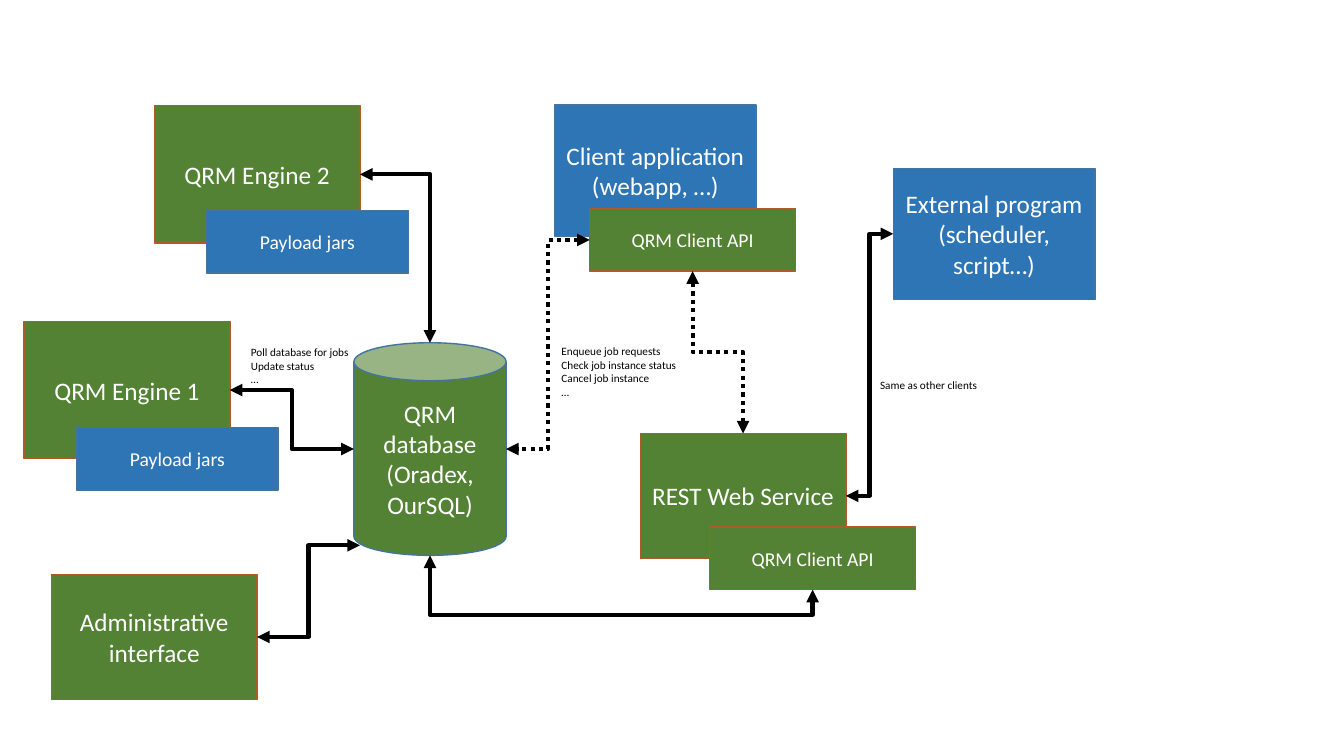
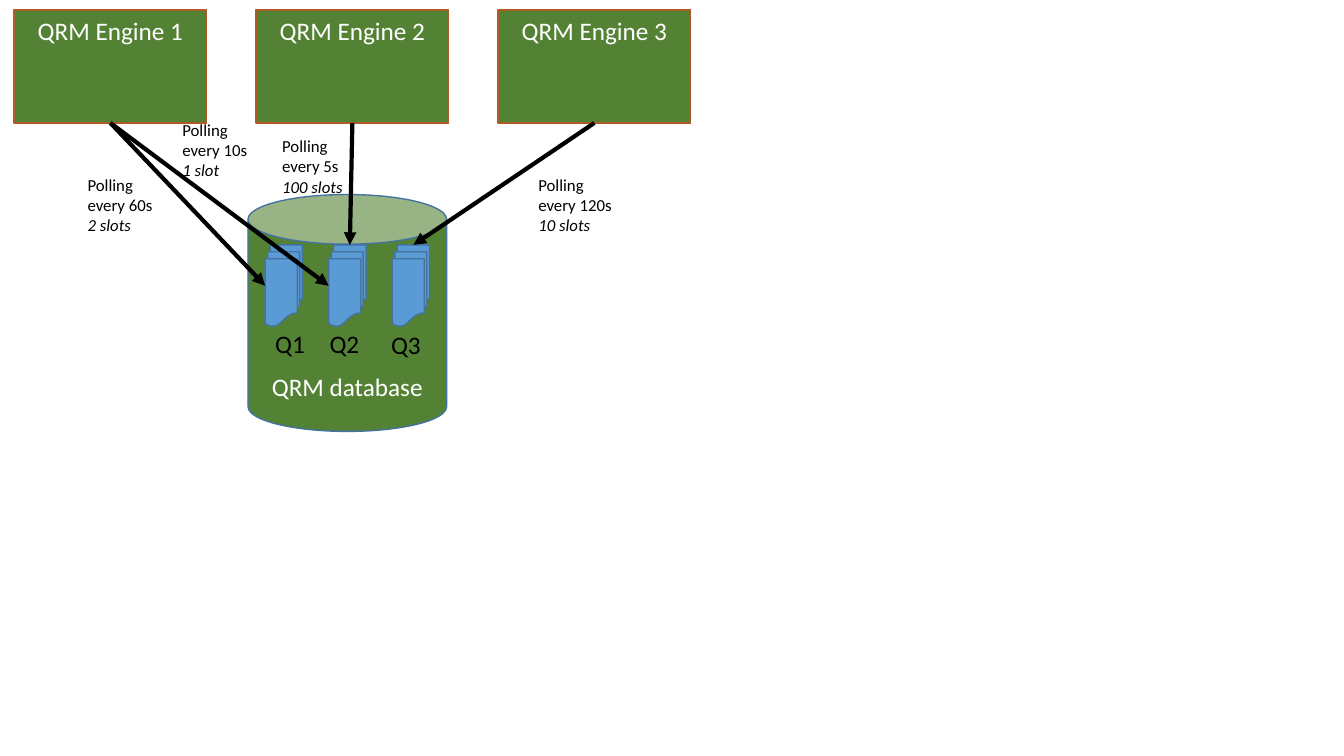
"""Build two architecture slides of a job queue manager."""
from lxml import etree
from pptx import Presentation
from pptx.dml.color import RGBColor
from pptx.enum.shapes import MSO_CONNECTOR, MSO_SHAPE
from pptx.enum.text import MSO_ANCHOR, PP_ALIGN
from pptx.oxml.ns import qn
from pptx.util import Pt

PX = 9144
FONT = "Calibri"
WHITE = RGBColor(0xFF, 0xFF, 0xFF)
BLACK = RGBColor(0x00, 0x00, 0x00)
GREEN = RGBColor(0x54, 0x82, 0x35)
BLUE = RGBColor(0x2E, 0x75, 0xB6)
LIGHT_BLUE = RGBColor(0x5B, 0x9B, 0xD5)
BLUE_EDGE = RGBColor(0x43, 0x73, 0x9E)
ORANGE_EDGE = RGBColor(0xAF, 0x5C, 0x24)

STYLES = {
    "core": dict(kind=MSO_SHAPE.RECTANGLE, fill=GREEN, edge=ORANGE_EDGE),
    "client": dict(kind=MSO_SHAPE.RECTANGLE, fill=BLUE, edge=BLUE_EDGE),
    "database": dict(kind=MSO_SHAPE.CAN, fill=GREEN, edge=BLUE_EDGE),
    "queue": dict(kind=MSO_SHAPE.FLOWCHART_MULTIDOCUMENT, fill=LIGHT_BLUE, edge=BLUE_EDGE),
    "note": dict(kind=MSO_SHAPE.RECTANGLE, fill=WHITE, edge=None),
}
SITES = ("top", "left", "bottom", "right")

NOTES = [
    ((863, 370, 169, 24), ["Same as other clients"]),
    ((239, 338, 169, 50), ["Poll database for jobs", "Update status", "…"]),
    ((547, 337, 169, 64),
     ["Enqueue job requests", "Check job instance status", "Cancel job instance", "…"]),
]
COMPONENTS = {
    "application": ("client", (550, 104, 200, 130), "Client application (webapp, …)", 18),
    "application api": ("core", (585, 207, 204, 62), "QRM Client API", 14),
    "database": ("database", (351, 340, 151, 211), "QRM database (Oradex, OurSQL)", 18),
    "engine 1": ("core", (24, 319, 204, 136), "QRM Engine 1", 18),
    "payload 1": ("client", (76, 424, 200, 62), "Payload jars", 14),
    "engine 2": ("core", (153, 105, 204, 136), "QRM Engine 2", 18),
    "payload 2": ("client", (205, 209, 200, 62), "Payload jars", 14),
    "service": ("core", (635, 430, 204, 124), "REST Web Service", 18),
    "service api": ("core", (704, 523, 204, 62), "QRM Client API", 14),
    "program": ("client", (886, 167, 200, 130), "External program (scheduler, script…)", 18),
    "admin": ("core", (51, 570, 204, 124), "Administrative interface", 18),
}
DATABASE_CORNER = (357, 541)
LINKS = [
    (("application api", "left"), ("database", "right"), dict(dash="sysDot")),
    (("database", "left"), ("engine 1", "right"), {}),
    (("database", "top"), ("engine 2", "right"), dict(preset="bentConnector2")),
    (("service api", "bottom"), ("database", "bottom"), dict(bend=-73)),
    (("program", "left"), ("service", "right"), {}),
    (DATABASE_CORNER, ("admin", "right"), {}),
    (("application api", "bottom"), ("service", "top"), dict(dash="sysDot")),
]

ENGINES = ["QRM Engine 1", "QRM Engine 2", "QRM Engine 3"]
ENGINE_BOX, ENGINE_STEP = (14, 10, 191, 112), 240
STORE_BOX = (246, 193, 197, 235)
QUEUE_BOX, QUEUE_STEP, QUEUE_TOP_OFFSET = (263, 243, 37, 81), 63, 21
QUEUE_LABELS = [("Q1", 263, 321), ("Q2", 317, 321), ("Q3", 378, 322)]
POLLS = [
    (0, 0, "left", (77, 168, 103, 71), "Polling every 60s", "2 slots"),
    (0, 1, "left", (171, 114, 99, 71), "Polling every 10s", "1 slot"),
    (1, 1, "top", (270, 130, 99, 71), "Polling every 5s", "100 slots"),
    (2, 2, "top", (524, 168, 99, 71), "Polling every 120s", "10 slots"),
]


def emu(values):
    return [round(value * PX) for value in values]


def write(shape, lines, size, color, align=PP_ALIGN.LEFT, anchor=MSO_ANCHOR.TOP, italic_last=False):
    frame = shape.text_frame
    frame.word_wrap = True
    frame.vertical_anchor = anchor
    for index, line in enumerate(lines):
        paragraph = frame.add_paragraph() if index else frame.paragraphs[0]
        paragraph.alignment = align
        run = paragraph.add_run()
        run.text = line
        run.font.color.rgb = color
        italic = italic_last and index == len(lines) - 1
        for name, value in dict(name=FONT, size=Pt(size), italic=italic).items():
            setattr(run.font, name, value)


def add_box(slide, style, box):
    look = STYLES[style]
    shape = slide.shapes.add_shape(look["kind"], *emu(box))
    shape.shadow.inherit = False
    shape.fill.solid()
    shape.fill.fore_color.rgb = look["fill"]
    if look["edge"] is None:
        shape.line.fill.background()
    else:
        shape.line.color.rgb = look["edge"]
        shape.line.width = Pt(1)
    return shape


def add_caption(slide, box, lines, size, italic_last=False):
    write(slide.shapes.add_textbox(*emu(box)), lines, size, BLACK, italic_last=italic_last)


def site_point(box, site):
    left, top, width, height = box
    return {
        "top": (left + width / 2, top),
        "left": (left, top + height / 2),
        "bottom": (left + width / 2, top + height),
        "right": (left + width, top + height / 2),
    }[site]


def add_arrow(slide, kind, begin, end, dash=None, ends=("tailEnd",)):
    connector = slide.shapes.add_connector(kind, *emu((*begin, *end)))
    connector.line.color.rgb = BLACK
    connector.line.width = Pt(3)
    outline = connector.line._get_or_add_ln()
    if dash:
        etree.SubElement(outline, qn("a:prstDash"), val=dash)
    for name in ends:
        etree.SubElement(outline, qn("a:" + name), type="triangle")
    etree.SubElement(connector._element.spPr, qn("a:effectLst"))
    return connector


def turn_vertical(connector, begin, end):
    """Rotate the elbow so that it leaves its begin point vertically."""
    across, down = end[0] - begin[0], end[1] - begin[1]
    width, height = abs(down), abs(across)
    left = (begin[0] + end[0] - width) / 2
    top = (begin[1] + end[1] - height) / 2
    for name, value in zip(("left", "top", "width", "height"), emu((left, top, width, height))):
        setattr(connector, name, value)
    frame = connector._element.spPr.get_or_add_xfrm()
    for name, value in dict(rot=90, flipH=down < 0, flipV=across > 0).items():
        setattr(frame, name, value)


def add_link(slide, shapes, begin, end, dash=None, preset="bentConnector3", bend=50):
    glued = [isinstance(target[0], str) for target in (begin, end)]
    points = [site_point(COMPONENTS[target[0]][1], target[1]) if is_glued else target
              for target, is_glued in zip((begin, end), glued)]
    connector = add_arrow(slide, MSO_CONNECTOR.ELBOW, *points, dash, ("headEnd", "tailEnd"))
    if begin[1] in ("top", "bottom"):
        turn_vertical(connector, *points)
    geometry = connector._element.spPr.find(qn("a:prstGeom"))
    geometry.set("prst", preset)
    if preset == "bentConnector3":
        guides = geometry.find(qn("a:avLst"))
        if guides is None:
            guides = etree.SubElement(geometry, qn("a:avLst"))
        etree.SubElement(guides, qn("a:gd"), name="adj1", fmla=f"val {bend * 1000}")
    properties = connector._element.nvCxnSpPr.cNvCxnSpPr
    adders = (properties.get_or_add_stCxn, properties.get_or_add_endCxn)
    for target, is_glued, add_glue in zip((begin, end), glued, adders):
        if is_glued:
            glue = add_glue()
            glue.id = shapes[target[0]].shape_id
            glue.idx = SITES.index(target[1]) + (COMPONENTS[target[0]][0] == "database")


def build_overview(slide):
    for box, lines in NOTES:
        note = add_box(slide, "note", box)
        color = note._element.spPr.find(".//" + qn("a:srgbClr"))
        etree.SubElement(color, qn("a:alpha"), val="61000")
        write(note, lines, 8, BLACK)
    shapes = {}
    for name, (style, box, text, size) in COMPONENTS.items():
        shapes[name] = add_box(slide, style, box)
        write(shapes[name], [text], size, WHITE, PP_ALIGN.CENTER, MSO_ANCHOR.MIDDLE)
    for begin, end, options in LINKS:
        add_link(slide, shapes, begin, end, **options)


def shifted(box, step, index):
    return (box[0] + step * index, *box[1:])


def build_polling(slide):
    store = add_box(slide, "database", STORE_BOX)
    write(store, ["QRM database"], 18, WHITE, PP_ALIGN.CENTER, MSO_ANCHOR.BOTTOM)
    for index, (label, left, top) in enumerate(QUEUE_LABELS):
        add_box(slide, "queue", shifted(QUEUE_BOX, QUEUE_STEP, index))
        add_caption(slide, (left, top, 65, 40), [label], 18)
    for index, name in enumerate(ENGINES):
        engine = add_box(slide, "core", shifted(ENGINE_BOX, ENGINE_STEP, index))
        write(engine, [name], 18, WHITE, PP_ALIGN.CENTER)
    for engine, queue, site, box, pace, slots in POLLS:
        begin = site_point(shifted(ENGINE_BOX, ENGINE_STEP, engine), "bottom")
        queue_box = shifted(QUEUE_BOX, QUEUE_STEP, queue)
        end = site_point(queue_box, site)
        if site == "top":
            end = (queue_box[0] + QUEUE_TOP_OFFSET, queue_box[1])
        add_arrow(slide, MSO_CONNECTOR.STRAIGHT, begin, end)
        add_caption(slide, box, [pace, slots], 12, italic_last=True)


def main():
    presentation = Presentation()
    presentation.slide_width, presentation.slide_height = emu((1333, 750))
    for build in (build_overview, build_polling):
        build(presentation.slides.add_slide(presentation.slide_layouts[6]))
    presentation.save("out.pptx")


if __name__ == "__main__":
    main()
